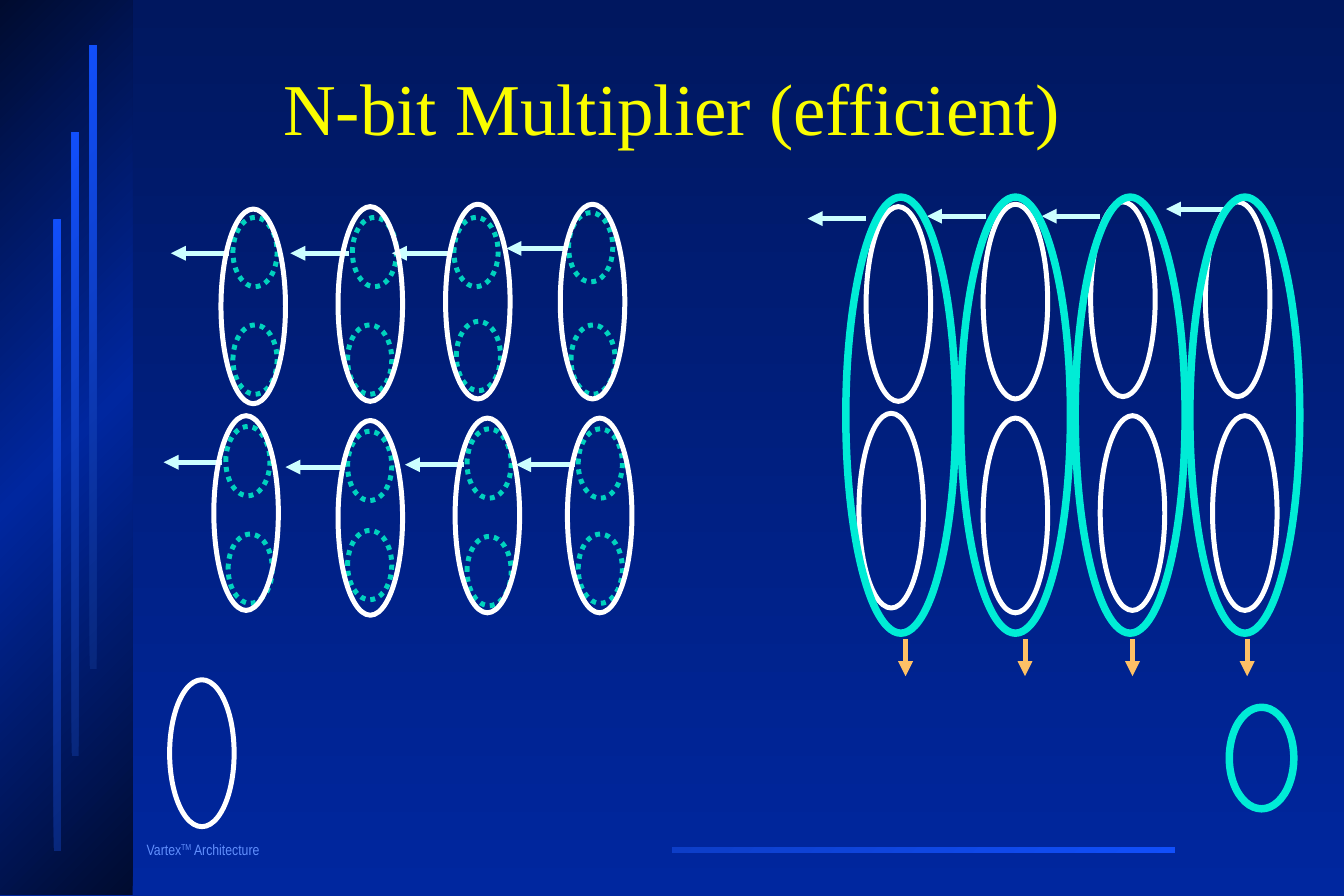
from copy import deepcopy
from dataclasses import dataclass
from typing import Any, NamedTuple

from lxml.etree import SubElement
from pptx import Presentation
from pptx.dml.color import RGBColor
from pptx.enum.dml import MSO_LINE
from pptx.enum.shapes import MSO_CONNECTOR, MSO_SHAPE
from pptx.enum.text import MSO_ANCHOR, MSO_AUTO_SIZE, PP_ALIGN
from pptx.oxml.ns import qn
from pptx.util import Inches, Pt


@dataclass(frozen=True)
class Theme:
    backdrop: tuple = ("00175F", "00279F")
    panel: tuple = ("000B2F", "00279F", "000B2F")
    stripe: tuple = ("08277C", "114FFB")
    rule: tuple = ("114FFB", "0D3EC8")
    title: str = "FAFD00"
    footer: str = "618FFD"
    cell: str = "FFFFFF"
    bit: str = "00D2BE"
    column: str = "00ECD6"
    carry: str = "CCFFFF"
    result: str = "FEC066"
    title_font: str = "Times New Roman"
    footer_font: str = "Arial Narrow"
    title_size: float = 44
    footer_size: float = 9
    thin: float = 3
    thick: float = 4.5


class Spot(NamedTuple):
    left: float
    top: float


class Bar(NamedTuple):
    left: float
    top: float
    width: float
    height: float
    colours: tuple


@dataclass(frozen=True)
class Ring:
    width: float
    height: float
    colour: str
    weight: float
    dash: Any = None


@dataclass(frozen=True)
class Arrow:
    across: float
    down: float
    colour: str


THEME = Theme()
CELL = Ring(0.54, 1.63, THEME.cell, THEME.thin)
CELL_KEY = Ring(0.54, 1.23, THEME.cell, THEME.thin)
BIT = Ring(0.37, 0.58, THEME.bit, THEME.thin, MSO_LINE.ROUND_DOT)
COLUMN = Ring(0.92, 3.65, THEME.column, THEME.thick)
COLUMN_KEY = Ring(0.54, 0.85, THEME.column, THEME.thick)
CARRY = Arrow(-0.49, 0, THEME.carry)
RESULT = Arrow(0, 0.31, THEME.result)

BARS = [
    Bar(5.63, 7.09, 4.21, 0.05, THEME.rule),
    Bar(0, 0, 1.11, 7.49, THEME.panel),
    Bar(0.45, 1.84, 0.06, 5.28, THEME.stripe),
    Bar(0.6, 1.11, 0.06, 5.22, THEME.stripe),
    Bar(0.75, 0.38, 0.06, 5.22, THEME.stripe),
]
CELLS = [
    Spot(1.79, 3.48), Spot(2.83, 3.52), Spot(3.81, 3.5), Spot(4.75, 3.5),
    Spot(1.85, 1.75), Spot(2.83, 1.73), Spot(3.73, 1.71), Spot(4.69, 1.71),
]
UPPER_BITS = [
    Spot(1.95, 1.82), Spot(2.95, 1.82), Spot(3.8, 1.82), Spot(4.76, 1.78),
    Spot(1.89, 3.57), Spot(2.91, 3.61), Spot(3.91, 3.59), Spot(4.84, 3.59),
]
LOWER_BITS = [
    Spot(1.95, 2.72), Spot(2.91, 2.72), Spot(3.82, 2.69), Spot(4.78, 2.72),
    Spot(1.91, 4.47), Spot(2.91, 4.44), Spot(3.91, 4.49), Spot(4.84, 4.47),
]
CARRIES = [Spot(7.25, 1.83), Spot(8.25, 1.81), Spot(9.21, 1.81), Spot(10.25, 1.75)]
RESULTS = [Spot(left, 5.35) for left in (7.58, 8.58, 9.48, 10.44)]


def apply_format(target: Any, values: dict) -> None:
    for name, value in values.items():
        setattr(target, name, value)


def paint_gradient(fill: Any, element: Any, colours: tuple, angle: float) -> None:
    fill.gradient()
    stop_list = next(element.iter(qn("a:gsLst")))
    while len(stop_list) < len(colours):
        stop_list.append(deepcopy(stop_list[0]))
    for index, (stop, colour) in enumerate(zip(fill.gradient_stops, colours)):
        stop.position = index / (len(colours) - 1)
        stop.color.rgb = RGBColor.from_string(colour)
    fill.gradient_angle = angle


def draw_bar(page: Any, bar: Bar) -> None:
    shape = page.shapes.add_shape(MSO_SHAPE.RECTANGLE, *map(Inches, bar[:4]))
    shape.shadow.inherit = False
    shape.line.fill.background()
    paint_gradient(shape.fill, shape.element, bar.colours, 135)


def draw_ring(page: Any, spot: Spot, ring: Ring) -> None:
    frame = (spot.left, spot.top, ring.width, ring.height)
    shape = page.shapes.add_shape(MSO_SHAPE.OVAL, *map(Inches, frame))
    shape.shadow.inherit = False
    shape.fill.background()
    shape.line.color.rgb = RGBColor.from_string(ring.colour)
    apply_format(shape.line, {"width": Pt(ring.weight), "dash_style": ring.dash})


def draw_arrow(page: Any, start: Spot, arrow: Arrow) -> None:
    ends = (*start, start.left + arrow.across, start.top + arrow.down)
    connector = page.shapes.add_connector(MSO_CONNECTOR.STRAIGHT, *map(Inches, ends))
    connector.line.color.rgb = RGBColor.from_string(arrow.colour)
    connector.line.width = Pt(THEME.thin)
    SubElement(connector.line._get_or_add_ln(), qn("a:tailEnd"), type="triangle")
    SubElement(connector.element.spPr, qn("a:effectLst"))


def write_text(box: Any, frame: tuple, spans: list, font: dict, colour: str,
               paragraph: dict, body: dict) -> None:
    sides = ("left", "top", "width", "height")
    apply_format(box, dict(zip(sides, map(Inches, frame))))
    apply_format(box.text_frame, {"word_wrap": True, "auto_size": MSO_AUTO_SIZE.NONE, **body})
    para = box.text_frame.paragraphs[0]
    apply_format(para, paragraph)
    for text, baseline in spans:
        span = para.add_run()
        span.text = text
        apply_format(span.font, font)
        span.font.color.rgb = RGBColor.from_string(colour)
        if baseline:
            span.font._element.set("baseline", str(baseline))


def main() -> None:
    deck = Presentation()
    apply_format(deck, {"slide_width": Inches(11.25), "slide_height": Inches(7.5)})
    page = deck.slides.add_slide(deck.slide_layouts[5])
    paint_gradient(page.background.fill, page.element, THEME.backdrop, 270)

    # Side panel, stripes and bottom rule
    for bar in BARS:
        draw_bar(page, bar)

    # Title and footer
    write_text(page.shapes.title, (1.16, 0.32, 8.93, 1.25),
               [("N-bit Multiplier (efficient)", 0)],
               {"name": THEME.title_font, "size": Pt(THEME.title_size)}, THEME.title,
               {"alignment": PP_ALIGN.CENTER, "line_spacing": 0.85},
               {"vertical_anchor": MSO_ANCHOR.MIDDLE})
    footer_frame = (1.13, 7, 1.5, 0.23)
    write_text(page.shapes.add_textbox(*map(Inches, footer_frame)), footer_frame,
               [("Vartex", 0), ("TM", 30000), (" Architecture", 0)],
               {"name": THEME.footer_font, "size": Pt(THEME.footer_size)}, THEME.footer,
               {"line_spacing": 0.9}, {"vertical_anchor": MSO_ANCHOR.TOP})

    # Right array: results, carries and cells
    for start in RESULTS:
        draw_arrow(page, start, RESULT)
    for start in CARRIES:
        draw_arrow(page, start, CARRY)
    for spot in CELLS:
        draw_ring(page, Spot(spot.left + 5.4, spot.top - 0.02), CELL)

    # Left array: each upper bit sends a carry to the left
    for spot in UPPER_BITS + LOWER_BITS:
        draw_ring(page, spot, BIT)
    for spot in UPPER_BITS:
        draw_arrow(page, Spot(spot.left - 0.03, spot.top + 0.3), CARRY)
    for spot in CELLS:
        draw_ring(page, spot, CELL)

    # Columns around the right array, then the two key rings
    for index in range(4):
        draw_ring(page, Spot(7.08 + 0.96 * index, 1.65), COLUMN)
    draw_ring(page, Spot(1.42, 5.69), CELL_KEY)
    draw_ring(page, Spot(10.29, 5.92), COLUMN_KEY)

    deck.save("out.pptx")


if __name__ == "__main__":
    main()
